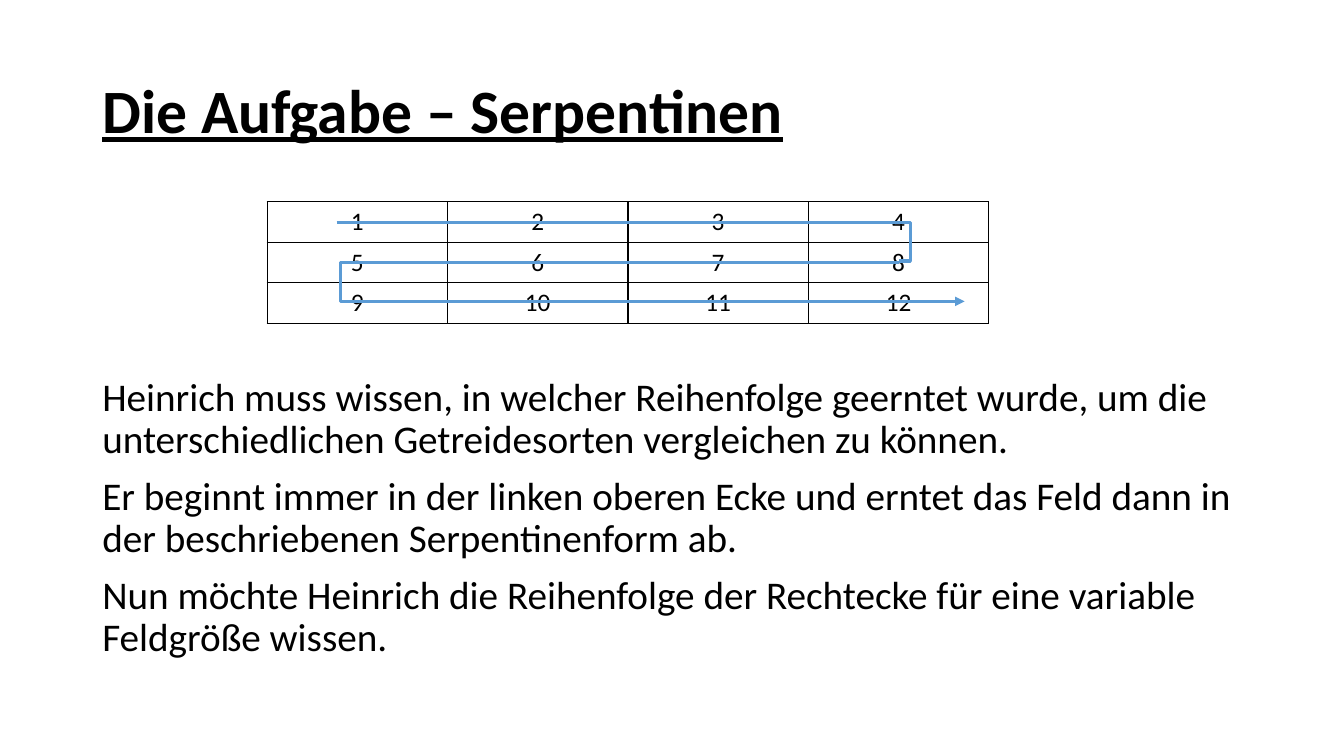
from dataclasses import dataclass

from lxml import etree
from pptx import Presentation
from pptx.dml.color import RGBColor
from pptx.enum.shapes import MSO_CONNECTOR
from pptx.enum.text import MSO_ANCHOR, PP_ALIGN
from pptx.oxml.ns import qn
from pptx.util import Pt

ELBOW = MSO_CONNECTOR.ELBOW
TOP, MIDDLE = MSO_ANCHOR.TOP, MSO_ANCHOR.MIDDLE
LEFT, CENTER = PP_ALIGN.LEFT, PP_ALIGN.CENTER


@dataclass(frozen=True)
class Theme:
    font: str = "Calibri"
    text: str = "000000"
    path_line: str = "5B9BD5"
    title_size: float = 44
    body_size: float = 28
    cell_size: float = 18
    path_width: float = 2.25
    border_width: float = 1


@dataclass(frozen=True)
class Box:
    left: float
    top: float
    width: float
    height: float


@dataclass(frozen=True)
class Bend:
    x1: float
    y1: float
    x2: float
    y2: float
    turn: float
    arrow: bool = False


THEME = Theme()
TITLE_BOX = Box(66, 28.8, 828, 104.4)
BODY_BOX = Box(66, 266.3, 828, 251.4)
FIELD_BOX = Box(190.8, 144, 515.52, 87)
ROWS, COLS = 3, 4
TITLE = "Die Aufgabe – Serpentinen"
BODY = [
    "Heinrich muss wissen, in welcher Reihenfolge geerntet wurde, um die "
    "unterschiedlichen Getreidesorten vergleichen zu können.",
    "Er beginnt immer in der linken oberen Ecke und erntet das Feld dann in "
    "der beschriebenen Serpentinenform ab.",
    "Nun möchte Heinrich die Reihenfolge der Rechtecke für eine variable "
    "Feldgröße wissen.",
]
BENDS = [
    Bend(642.24, 187.2, 689.04, 215.28, -8.53, arrow=True),
    Bend(240.48, 159.12, 642.24, 186.48, 1.02),
]


def write(tf, paragraphs: list[str], *, size: float, bold: bool = False,
          underline: bool = False, align=LEFT, spacing: float = 1,
          before: float = 0) -> None:
    for i, text in enumerate(paragraphs):
        p = tf.add_paragraph() if i else tf.paragraphs[0]
        p.alignment = align
        p.line_spacing = spacing
        p.space_before = Pt(before)
        r = p.add_run()
        r.text = text
        r.font.name = THEME.font
        r.font.size = Pt(size)
        r.font.bold = bold
        r.font.underline = underline
        r.font.color.rgb = RGBColor.from_string(THEME.text)


def add_text_box(s, box: Box, anchor):
    sp = s.shapes.add_textbox(Pt(box.left), Pt(box.top), Pt(box.width), Pt(box.height))
    tf = sp.text_frame
    tf.word_wrap = True
    tf.vertical_anchor = anchor
    return tf


def set_borders(cell) -> None:
    tc_pr = cell._tc.get_or_add_tcPr()
    for i, side in enumerate(("lnL", "lnR", "lnT", "lnB")):
        ln = etree.Element(qn(f"a:{side}"), w=str(Pt(THEME.border_width)))
        fill = etree.SubElement(ln, qn("a:solidFill"))
        etree.SubElement(fill, qn("a:srgbClr"), val=THEME.text)
        tc_pr.insert(i, ln)


def add_field(s, box: Box) -> None:
    table = s.shapes.add_table(ROWS, COLS, Pt(box.left), Pt(box.top),
                               Pt(box.width), Pt(box.height)).table
    table.first_row = False
    table.horz_banding = False
    for i, cell in enumerate(table.iter_cells(), start=1):
        cell.fill.background()
        cell.vertical_anchor = MIDDLE
        set_borders(cell)
        write(cell.text_frame, [str(i)], size=THEME.cell_size, align=CENTER)


def add_bend(s, bend: Bend) -> None:
    cx = s.shapes.add_connector(ELBOW, Pt(bend.x1), Pt(bend.y1), Pt(bend.x2), Pt(bend.y2))
    cx.line.color.rgb = RGBColor.from_string(THEME.path_line)
    cx.line.width = Pt(THEME.path_width)
    sp_pr = cx._element.spPr
    guides = sp_pr.find(qn("a:prstGeom")).get_or_add_avLst()
    etree.SubElement(guides, qn("a:gd"), name="adj1",
                     fmla=f"val {round(bend.turn * 100000)}")
    if bend.arrow:
        etree.SubElement(cx.line._get_or_add_ln(), qn("a:tailEnd"), type="triangle")
    etree.SubElement(sp_pr, qn("a:effectLst"))


def main() -> None:
    prs = Presentation()
    prs.slide_width, prs.slide_height = Pt(960), Pt(540)
    s = prs.slides.add_slide(prs.slide_layouts[6])
    write(add_text_box(s, TITLE_BOX, MIDDLE), [TITLE], size=THEME.title_size,
          bold=True, underline=True, spacing=0.9)
    write(add_text_box(s, BODY_BOX, TOP), BODY, size=THEME.body_size,
          spacing=0.9, before=10)
    add_field(s, FIELD_BOX)
    for bend in BENDS:
        add_bend(s, bend)
    prs.save("out.pptx")


if __name__ == "__main__":
    main()
